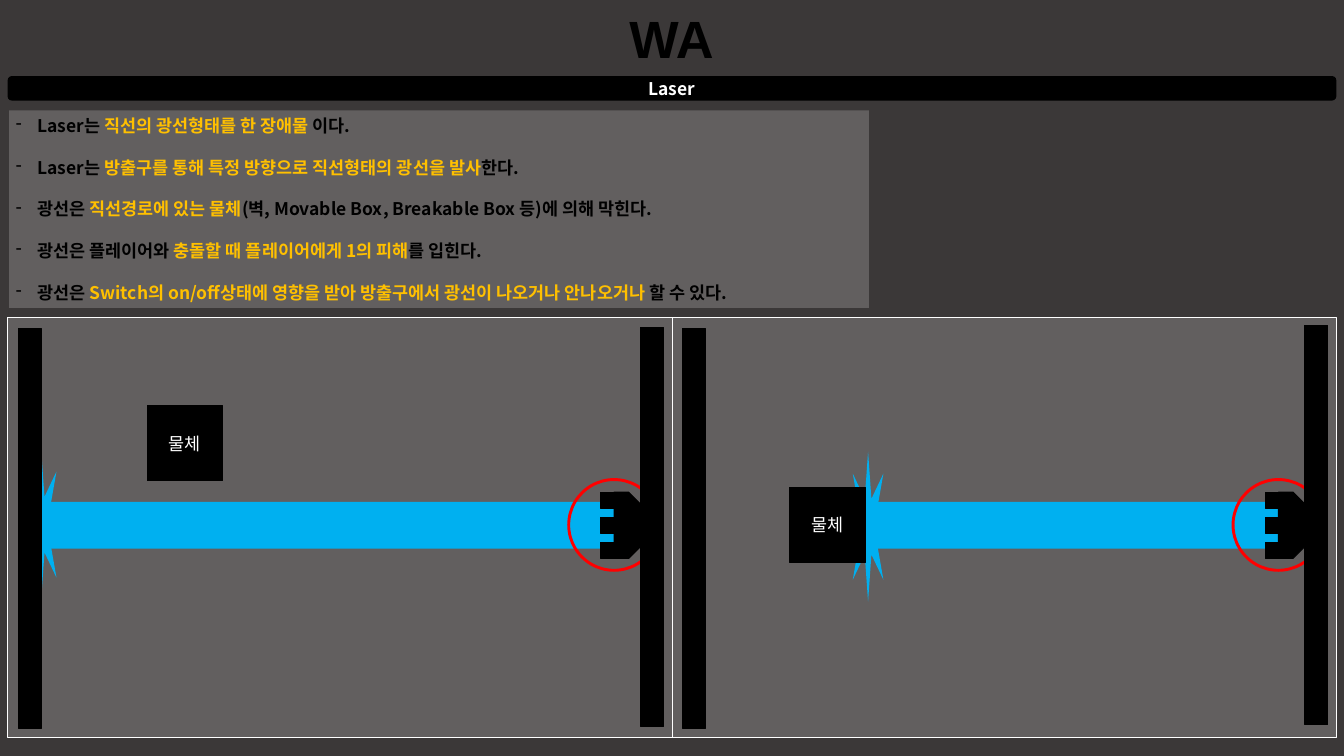
from dataclasses import dataclass

from lxml import etree
from pptx import Presentation
from pptx.dml.color import RGBColor
from pptx.enum.shapes import MSO_CONNECTOR, MSO_SHAPE
from pptx.enum.text import MSO_ANCHOR, MSO_AUTO_SIZE, PP_ALIGN
from pptx.oxml.ns import qn
from pptx.util import Inches, Pt

RECT = MSO_SHAPE.RECTANGLE
ROUND_RECT = MSO_SHAPE.ROUNDED_RECTANGLE
OVAL = MSO_SHAPE.OVAL
STAR = MSO_SHAPE.STAR_8_POINT
SNIPPED = MSO_SHAPE.SNIP_2_SAME_RECTANGLE
STRAIGHT = MSO_CONNECTOR.STRAIGHT
LEFT, CENTER = PP_ALIGN.LEFT, PP_ALIGN.CENTER
TOP, MIDDLE = MSO_ANCHOR.TOP, MSO_ANCHOR.MIDDLE
NO_AUTOFIT = MSO_AUTO_SIZE.NONE


@dataclass(frozen=True)
class Theme:
    """Colours, fonts and type sizes of the slide."""
    background: str = "3B3838"
    black: str = "000000"
    white: str = "FFFFFF"
    highlight: str = "FFC000"
    laser: str = "00B0F0"
    marker: str = "FF0000"
    heading_font: str = "Arial"
    body_font: str = "Noto Sans CJK KR"
    label_font: str = "Calibri"
    heading_size: int = 54
    body_size: int = 18
    line_pitch: int = 23
    rule_gap: int = 20


THEME = Theme()
PANEL_OFFSET = 9.52
RULES = [
    ("Laser는 ", "직선의 광선형태를 한 장애물", " 이다."),
    ("Laser는 ", "방출구를 통해 특정 방향으로 직선형태의 광선을 발사", "한다."),
    ("광선은 ", "직선경로에 있는 물체", "(벽, Movable Box, Breakable Box 등)에 의해 막힌다."),
    ("광선은 플레이어와 ", "충돌할 때 플레이어에게 1의 피해", "를 입힌다."),
    ("광선은 ", "Switch의 on/off상태에 영향을 받아 방출구에서 광선이 나오거나 안나오거나",
     " 할 수 있다."),
]


def rgb(value):
    """Turn a hex string into a colour."""
    return RGBColor.from_string(value)


def add_figure(shapes, kind, box, fill=None, line=None, width=1, alpha=None):
    """Add a flat preset shape with optional fill, outline and opacity."""
    figure = shapes.add_shape(kind, *map(Inches, box))
    figure.shadow.inherit = False
    if fill:
        figure.fill.solid()
        figure.fill.fore_color.rgb = rgb(fill)
    else:
        figure.fill.background()
    if alpha:
        color = figure.fill._xPr.find(f".//{qn('a:srgbClr')}")
        etree.SubElement(color, qn("a:alpha")).set("val", str(alpha * 1000))
    if line:
        figure.line.color.rgb = rgb(line)
        figure.line.width = Pt(width)
    else:
        figure.line.fill.background()
    return figure


def add_run(paragraph, text, *, font, size=THEME.body_size, color=THEME.white, bold=False):
    """Append a formatted run to a paragraph."""
    run = paragraph.add_run()
    run.text = text
    run.font.name = font
    run.font.size = Pt(size)
    run.font.bold = bold
    run.font.color.rgb = rgb(color)
    if font == THEME.body_font:
        east_asian = etree.SubElement(run.font._element, qn("a:ea"))
        east_asian.set("typeface", font)


def write(shape, text, *, anchor=MIDDLE, wrap=True, **style):
    """Write one centred line into a shape."""
    frame = shape.text_frame
    frame.auto_size = NO_AUTOFIT
    frame.word_wrap = wrap
    frame.vertical_anchor = anchor
    frame.paragraphs[0].alignment = CENTER
    add_run(frame.paragraphs[0], text, **style)


def add_dash(paragraph):
    """Give a paragraph a hanging dash."""
    properties = paragraph._p.get_or_add_pPr()
    properties.set("marL", str(Inches(0.31)))
    properties.set("indent", str(-Inches(0.31)))
    etree.SubElement(properties, qn("a:buChar")).set("char", "-")


def add_rules(slide):
    """Add the box of laser rules with highlighted phrases."""
    box = add_figure(slide.shapes, RECT, (0.13, 1.58, 12.32, 2.83), THEME.white, alpha=20)
    frame = box.text_frame
    frame.word_wrap = True
    frame.vertical_anchor = TOP
    for index, phrases in enumerate(RULES):
        paragraph = frame.add_paragraph() if index else frame.paragraphs[0]
        add_dash(paragraph)
        paragraph.alignment = LEFT
        paragraph.line_spacing = Pt(THEME.line_pitch)
        paragraph.space_before = Pt(THEME.rule_gap if index else 0)
        for phrase, color in zip(phrases, (THEME.black, THEME.highlight, THEME.black)):
            add_run(paragraph, phrase, font=THEME.body_font, color=color, bold=True)


def add_solid(shapes, kind, box):
    """Add a black outlined shape."""
    return add_figure(shapes, kind, box, THEME.black, THEME.black)


def add_emitter(slide, left):
    """Add the laser outlet with its three prongs and red marker ring."""
    emitter = slide.shapes.add_group_shape().shapes
    nozzle = add_solid(emitter, SNIPPED, (left - 0.1, 7.34, 0.95, 0.37))
    nozzle.rotation = 90
    nozzle.adjustments[0] = 0.435
    nozzle.adjustments[1] = 0
    for prong in range(3):
        add_solid(emitter, RECT, (left, 7.05 + 0.36 * prong, 0.19, 0.23))
    add_figure(slide.shapes, OVAL, (left - 0.46, 6.87, 1.3, 1.3), line=THEME.marker, width=3)


def add_scene(slide, offset, impact, beam_left, obstacle, right_wall_top):
    """Add one laser scene: spark, beam, emitter, walls and obstacle."""
    shapes = slide.shapes
    spark = add_figure(shapes, STAR, (*impact, 0.62, 2.15), THEME.laser)
    spark.adjustments[0] = 0.201
    beam_width = 8.92 + offset - beam_left
    add_figure(shapes, RECT, (beam_left, 7.19, beam_width, 0.67), THEME.laser)
    add_emitter(slide, 8.61 + offset)
    for left, top in ((0.26, 4.71), (9.18, right_wall_top)):
        add_solid(shapes, RECT, (left + offset, top, 0.33, 5.72))
    block = add_solid(shapes, RECT, (*obstacle, 1.08, 1.08))
    write(block, "물체", font=THEME.label_font)


def add_divider(slide, panel):
    """Split the panel with a thin vertical line."""
    divider = slide.shapes.add_connector(STRAIGHT, 0, 0, 0, 0)
    divider.begin_connect(panel, 0)
    divider.end_connect(panel, 2)
    divider.line.color.rgb = rgb(THEME.white)
    divider.line.width = Pt(0.5)
    etree.SubElement(divider._element.spPr, qn("a:effectLst"))


def add_heading(slide):
    """Place the title and the topic bar."""
    title = slide.shapes.title
    title.left, title.top, title.width, title.height = map(Inches, (8.89, 0.04, 1.47, 1.01))
    write(title, "WA", anchor=TOP, wrap=False, font=THEME.heading_font,
          size=THEME.heading_size, color=THEME.black, bold=True)
    bar = add_figure(slide.shapes, ROUND_RECT, (0.11, 1.09, 19.04, 0.35), THEME.black)
    write(bar, "Laser", font=THEME.body_font, bold=True)


def main():
    """Build and save the laser slide."""
    deck = Presentation()
    deck.slide_width, deck.slide_height = Inches(19.26), Inches(10.83)
    slide = deck.slides.add_slide(deck.slide_layouts[5])
    slide.background.fill.solid()
    slide.background.fill.fore_color.rgb = rgb(THEME.background)
    add_heading(slide)
    add_rules(slide)
    panel = add_figure(slide.shapes, RECT, (0.11, 4.55, 19.04, 6.02),
                       THEME.white, THEME.white, alpha=20)
    add_divider(slide, panel)
    add_scene(slide, 0, impact=(0.28, 6.44), beam_left=0.43,
              obstacle=(2.11, 5.81), right_wall_top=4.69)
    add_scene(slide, PANEL_OFFSET, impact=(12.13, 6.47), beam_left=12.23,
              obstacle=(11.32, 6.98), right_wall_top=4.66)
    deck.save("out.pptx")


if __name__ == "__main__":
    main()
